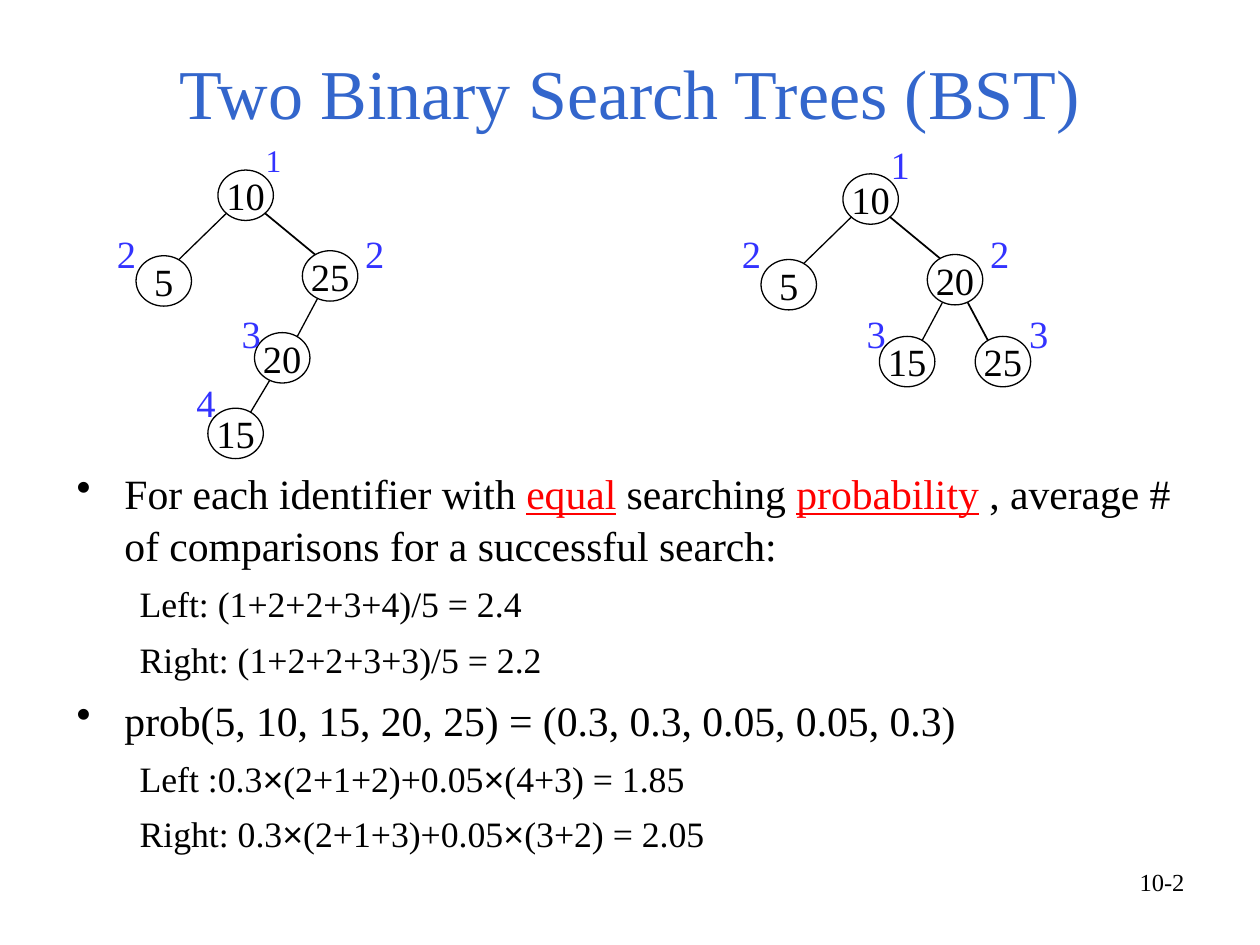
import pptx
import pptx.util
import pptx.dml.color
import pptx.enum.shapes
import pptx.enum.text
import lxml.etree

Pt = pptx.util.Pt
RGB = pptx.dml.color.RGBColor
ALIGN = pptx.enum.text.PP_ALIGN
MID = pptx.enum.text.MSO_ANCHOR.MIDDLE
FIT = pptx.enum.text.MSO_AUTO_SIZE
BLACK = RGB(0, 0, 0)
WHITE = RGB(255, 255, 255)
RED = RGB(255, 0, 0)
TITLE = RGB(0x33, 0x66, 0xCC)
BLUE = RGB(0x33, 0x33, 0xFF)
FONT = "Times New Roman"

deck = pptx.Presentation()
deck.slide_width = pptx.util.Inches(10)
deck.slide_height = pptx.util.Inches(7.5)
CELL = deck.slide_width / 100
slide = deck.slides.add_slide(deck.slide_layouts[5])
shapes = slide.shapes


def grid(*cells):
    return [round(cell * CELL) for cell in cells]


def write(para, text, size, color=BLACK, face=FONT):
    run = para.add_run()
    run.text = text
    run.font.size = Pt(size)
    run.font.name = face
    run.font.color.rgb = color
    return run


title = shapes.title
title.left, title.top, title.width, title.height = grid(5, 3, 90, 8.5)
title.text_frame.auto_size = FIT.NONE
title.text_frame.vertical_anchor = MID
para = title.text_frame.paragraphs[0]
para.alignment = ALIGN.CENTER
write(para, "Two Binary Search Trees (BST)", 40, TITLE)

points = [
    (0, [("For each identifier with ", ""), ("equal", "key"), (" searching ", ""),
         ("probability", "key"),
         (" , average # of comparisons for a successful search:", "")]),
    (1, [("Left: (1+2+2+3+4)/5 = 2.4", "")]),
    (1, [("Right: (1+2+2+3+3)/5 = 2.2", "")]),
    (0, [("prob(5, 10, 15, 20, 25) = (0.3, 0.3, 0.05, 0.05, 0.3)", "")]),
    (1, [("Left :0.3", ""), ("×", "sign"), ("(2+1+2)+0.05", ""),
         ("×", "sign"), ("(4+3) = 1.85", "")]),
    (1, [("Right: 0.3", ""), ("×", "sign"), ("(2+1+3)+0.05", ""),
         ("×", "sign"), ("(3+2) = 2.05", "")]),
]
levels = [(23.8, 7, 3.8, -3.8), (20.4, 6, 8.1, -3.1)]
body = shapes.add_textbox(*grid(5.1, 36.5, 90, 29.9)).text_frame
body.word_wrap = True
for index, (level, runs) in enumerate(points):
    para = body.add_paragraph() if index else body.paragraphs[0]
    size, before, margin, indent = levels[level]
    para.level = level
    para.space_before = Pt(before)
    para.line_spacing = 1.04
    props = para._p.get_or_add_pPr()
    props.set("marL", str(grid(margin)[0]))
    props.set("indent", str(grid(indent)[0]))
    if level == 0:
        bullet = lxml.etree.SubElement(props, pptx.oxml.ns.qn("a:buChar"))
        bullet.set("char", "•")
    for text, kind in runs:
        color = RED if kind == "key" else BLACK
        run = write(para, text, size, color, "Arial" if kind == "sign" else FONT)
        if kind == "key":
            run.font.underline = True

# key, column, row, parent, side, depth, label column, label row
trees = [
    [("10", 17.3, 13.5, None, "", 1, 20.1, 10.7),
     ("5", 10.8, 20.3, "10", "left", 2, 8.3, 17.8),
     ("25", 24, 19.9, "10", "right", 2, 28, 17.8),
     ("20", 20.2, 26.4, "25", "left", 3, 18.2, 24.1),
     ("15", 16.5, 32.4, "20", "left", 4, 14.6, 29.6)],
    [("10", 66.9, 13.8, None, "", 1, 69.7, 10.7),
     ("5", 60.4, 20.6, "10", "left", 2, 57.9, 17.8),
     ("20", 73.6, 20.2, "10", "right", 2, 77.6, 17.8),
     ("15", 69.8, 26.7, "20", "left", 3, 67.8, 24.1),
     ("25", 77.4, 26.7, "20", "right", 3, 80.7, 24.1)],
]
WIDE, HIGH = 4.4, 4
for number, tree in enumerate(trees):
    spots = {}
    for key, col, row, parent, side, depth, lcol, lrow in tree:
        spots[key] = col, row
        node = shapes.add_shape(pptx.enum.shapes.MSO_SHAPE.OVAL,
                                *grid(col, row, WIDE, HIGH))
        node.shadow.inherit = False
        node.fill.solid()
        node.fill.fore_color.rgb = WHITE
        node.line.color.rgb = BLACK
        node.line.width = Pt(0.74)
        node.text_frame.word_wrap = False
        node.text_frame.vertical_anchor = MID
        para = node.text_frame.paragraphs[0]
        para.alignment = ALIGN.CENTER
        write(para, key, 22)

        if parent:
            pcol, prow = spots[parent]
            out, drop = (0.7, 3.4) if depth == 2 else (1.2, 3.8)
            start, end = out, 3.4
            if side == "right":
                start, end = WIDE - out, WIDE - end
            edge = shapes.add_connector(
                pptx.enum.shapes.MSO_CONNECTOR.STRAIGHT,
                *grid(pcol + start, prow + drop, col + end, row + 0.3))
            edge.line.color.rgb = BLACK
            edge.line.width = Pt(0.99 if side == "right" else 0.74)
            lxml.etree.SubElement(edge._element.spPr,
                                  pptx.oxml.ns.qn("a:effectLst"))

        small = number == 0 and depth == 1
        label = shapes.add_textbox(*grid(lcol, lrow, 3.5, 4 if small else 4.7))
        label.text_frame.word_wrap = True
        write(label.text_frame.paragraphs[0], str(depth), 18 if small else 22, BLUE)

page = shapes.add_textbox(*grid(71.7, 68.3, 23.3, 5.2)).text_frame
page.word_wrap = True
para = page.paragraphs[0]
para.alignment = ALIGN.RIGHT
write(para, "10-2", 14)

deck.save("out.pptx")
